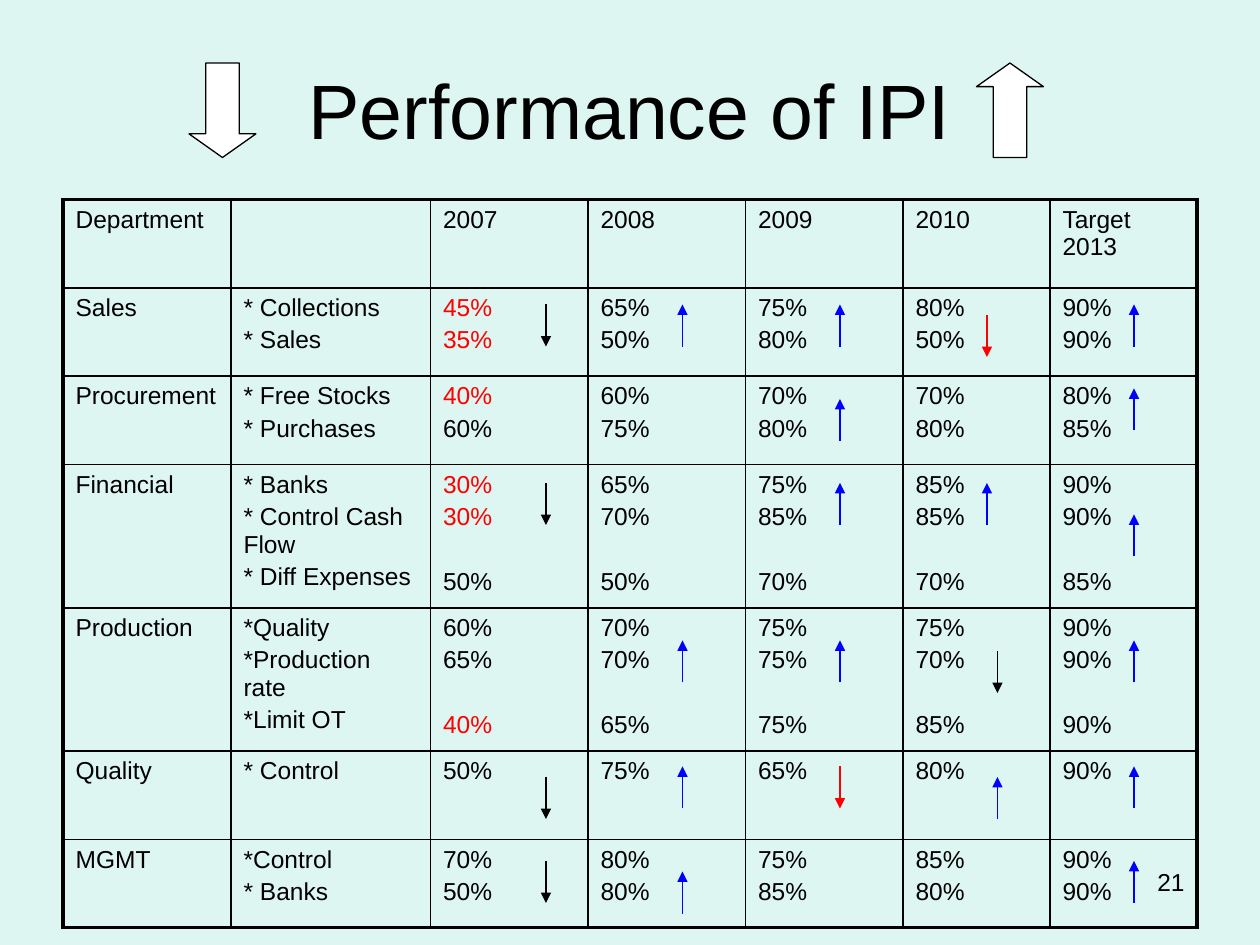
import pptx
import pptx.dml.color
import pptx.enum.shapes
import pptx.enum.text
import pptx.oxml.ns
import pptx.util
from dataclasses import dataclass
from lxml import etree

Pt = pptx.util.Pt
qn = pptx.oxml.ns.qn
Align = pptx.enum.text.PP_ALIGN
Anchor = pptx.enum.text.MSO_ANCHOR
Shape = pptx.enum.shapes.MSO_SHAPE
Link = pptx.enum.shapes.MSO_CONNECTOR


@dataclass
class Theme:
    back: str = "DEF6F1"
    ink: str = "000000"
    paper: str = "FFFFFF"
    low: str = "FF0000"
    rise: str = "0000FF"
    font: str = "Arial"
    title: float = 44
    body: float = 14
    thin: float = 0.75
    rule: float = 1
    frame: float = 2.25
    gap: float = 2.8
    skip: float = 21.4


def color(code):
    return pptx.dml.color.RGBColor.from_string(code)


def apply(target, values):
    for name, value in values.items():
        setattr(target, name, value)


class Page:
    def __init__(self, theme, slide):
        self.theme = theme
        self.slide = slide
        slide.background.fill.solid()
        slide.background.fill.fore_color.rgb = color(theme.back)

    def label(self, para, text, size, tint):
        run = para.add_run()
        run.text = text
        apply(run.font, {"name": self.theme.font, "size": Pt(size)})
        run.font.color.rgb = color(tint)

    def text(self, place, text, size, align, anchor):
        box = self.slide.shapes.add_textbox(*map(Pt, place))
        apply(box.text_frame, {"word_wrap": True, "vertical_anchor": anchor})
        para = box.text_frame.paragraphs[0]
        para.alignment = align
        self.label(para, text, size, self.theme.ink)

    def block(self, kind, place):
        shape = self.slide.shapes.add_shape(kind, *map(Pt, place))
        shape.shadow.inherit = False
        shape.adjustments[0], shape.adjustments[1] = 0.5, 0.353
        shape.fill.solid()
        shape.fill.fore_color.rgb = color(self.theme.paper)
        shape.line.color.rgb = color(self.theme.ink)
        shape.line.width = Pt(self.theme.thin)

    def arrow(self, left, start, end, tint):
        line = self.slide.shapes.add_connector(
            Link.STRAIGHT, Pt(left), Pt(start), Pt(left), Pt(end))
        line.line.color.rgb = color(tint)
        line.line.width = Pt(self.theme.thin)
        props = line._element.spPr
        etree.SubElement(props.find(qn("a:ln")), qn("a:tailEnd"), type="triangle")
        etree.SubElement(props, qn("a:effectLst"))

    def edge(self, cell, heavy):
        props = cell._tc.get_or_add_tcPr()
        for spot, side in enumerate("LRTB"):
            width = self.theme.frame if side in heavy else self.theme.rule
            line = etree.Element(qn("a:ln" + side), w=str(int(Pt(width))))
            fill = etree.SubElement(line, qn("a:solidFill"))
            etree.SubElement(fill, qn("a:srgbClr"), val=self.theme.ink)
            props.insert(spot, line)

    def fill(self, cell, lines):
        for spot, text in enumerate(lines):
            frame = cell.text_frame
            para = frame.add_paragraph() if spot else frame.paragraphs[0]
            score = text.endswith("%")
            if spot:
                wide = score and spot == 2
                para.space_before = Pt(self.theme.skip if wide else self.theme.gap)
            poor = score and int(text[:-1]) < 50
            self.label(para, text, self.theme.body,
                       self.theme.low if poor else self.theme.ink)

    def table(self, left, top, cols, rows, data):
        table = self.slide.shapes.add_table(
            len(rows), len(cols), Pt(left), Pt(top), Pt(sum(cols)), Pt(sum(rows))).table
        apply(table, {"first_row": False, "horz_banding": False})
        for col, width in zip(table.columns, cols):
            col.width = Pt(width)
        for row, height in zip(table.rows, rows):
            row.height = Pt(height)
        for r, row in enumerate(data):
            for c, lines in enumerate(row):
                cell = table.cell(r, c)
                cell.fill.background()
                ends = {"T": r == 0, "B": r == len(rows) - 1,
                        "L": c == 0, "R": c == len(cols) - 1}
                self.edge(cell, [side for side, last in ends.items() if last])
                self.fill(cell, lines)


HEAD = [["Department"], [], ["2007"], ["2008"], ["2009"], ["2010"], ["Target 2013"]]
TEAMS = [
    ("Sales", ["* Collections", "* Sales"],
     "45% 35%", "65% 50%", "75% 80%", "80% 50%", "90% 90%"),
    ("Procurement", ["* Free Stocks", "* Purchases"],
     "40% 60%", "60% 75%", "70% 80%", "70% 80%", "80% 85%"),
    ("Financial", ["* Banks", "* Control Cash Flow", "* Diff Expenses"],
     "30% 30% 50%", "65% 70% 50%", "75% 85% 70%", "85% 85% 70%", "90% 90% 85%"),
    ("Production", ["*Quality", "*Production rate", "*Limit OT"],
     "60% 65% 40%", "70% 70% 65%", "75% 75% 75%", "75% 70% 85%", "90% 90% 90%"),
    ("Quality", ["* Control"], "50%", "75%", "65%", "80%", "90%"),
    ("MGMT", ["*Control", "* Banks"],
     "70% 50%", "80% 80%", "75% 85%", "85% 80%", "90% 90%"),
]
COLS = [96, 114, 90, 90, 90, 84, 84]
SHORT, TALL = 50.5, 80.35
REACH = 24
RISES = {390: [174, 366, 438, 498], 480: [174, 228, 276, 366], 564: [276],
         570: [444], 648: [174, 222, 294, 366, 438, 492]}
DROPS = {312: [174, 276, 444, 492], 570: [372]}
ALERTS = {480: [438], 564: [180]}


def main():
    deck = pptx.Presentation()
    apply(deck, {"slide_width": Pt(720), "slide_height": Pt(540)})
    theme = Theme()
    page = Page(theme, deck.slides.add_slide(deck.slide_layouts[6]))

    page.text((516, 492, 168, 37.5), "21", theme.body, Align.RIGHT, Anchor.TOP)
    page.text((36, 21.6, 648, 81), "Performance of IPI", theme.title,
              Align.CENTER, Anchor.MIDDLE)

    data = [HEAD] + [[[team], tasks] + [score.split() for score in scores]
                     for team, tasks, *scores in TEAMS]
    rows = [TALL if len(row[1]) == 3 else SHORT for row in data]
    page.table(36, 114, COLS, rows, data)

    page.block(Shape.UP_ARROW, (558, 36, 38.25, 54))
    page.block(Shape.DOWN_ARROW, (108, 36, 38.25, 54))

    for group, tint, up in ((DROPS, theme.ink, False), (RISES, theme.rise, True),
                            (ALERTS, theme.low, False)):
        for left, tops in group.items():
            for top in tops:
                ends = (top + REACH, top) if up else (top, top + REACH)
                page.arrow(left, *ends, tint)

    deck.save("out.pptx")


if __name__ == "__main__":
    main()
